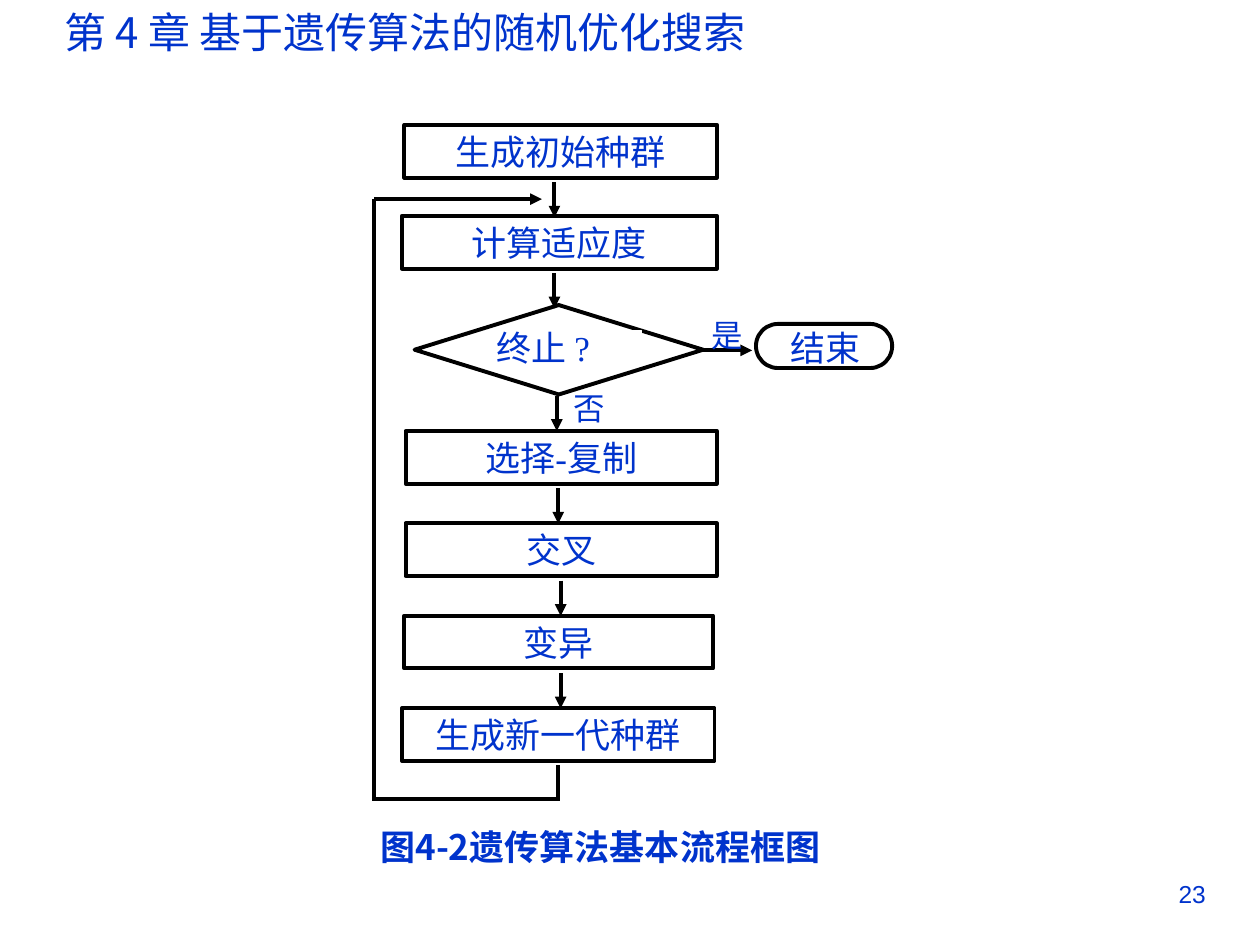
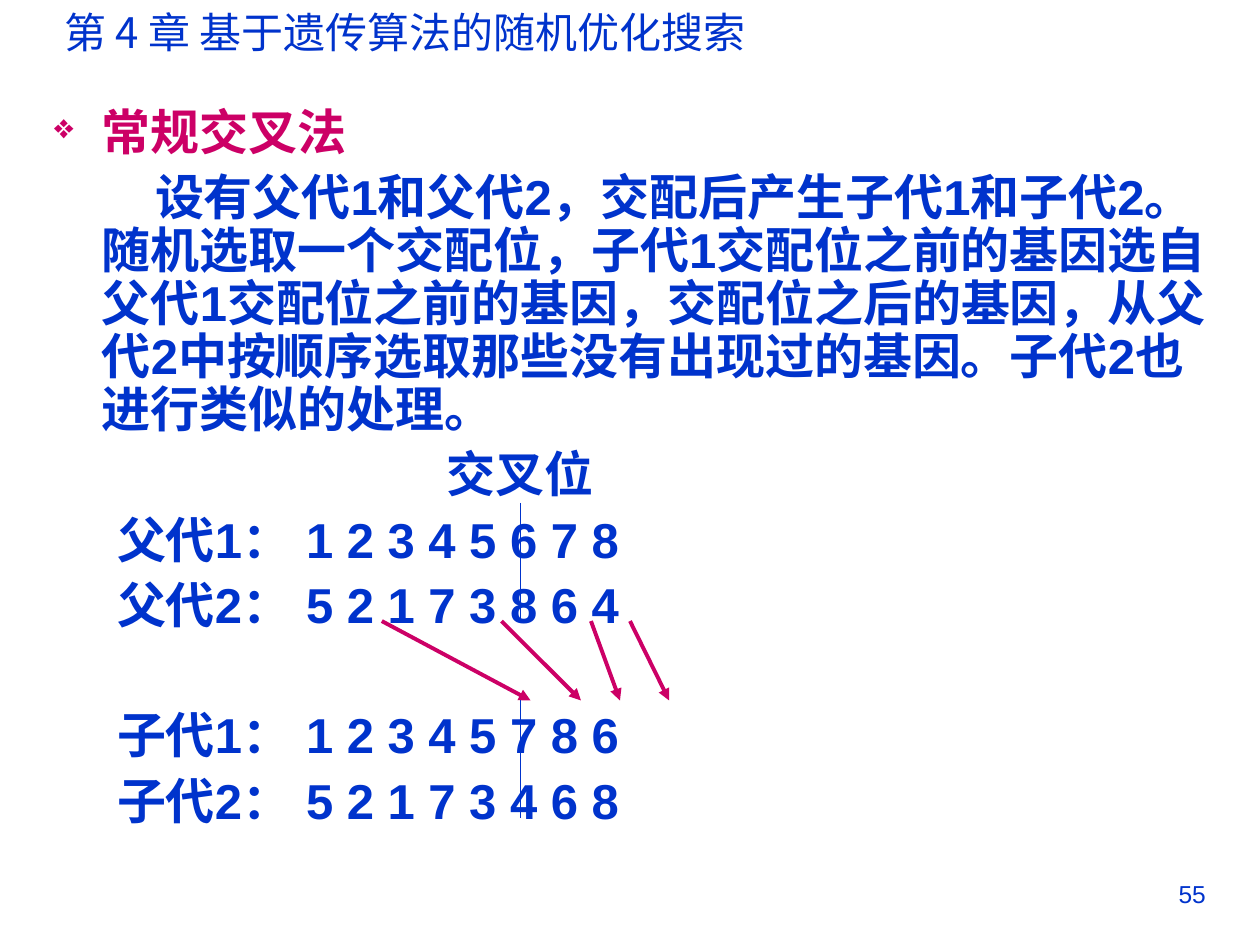
from dataclasses import dataclass

from lxml.etree import SubElement
from pptx import Presentation
from pptx.dml.color import RGBColor as RGB
from pptx.enum.shapes import MSO_CONNECTOR as Conn, MSO_SHAPE as Kind
from pptx.enum.text import MSO_ANCHOR as Anchor, MSO_AUTO_SIZE as Fit, PP_ALIGN as Align
from pptx.oxml.ns import qn
from pptx.util import Pt


@dataclass(frozen=True)
class Theme:
    ink: str = "0033CC"
    accent: str = "CC0066"
    edge: str = "000000"
    paper: str = "FFFFFF"
    hans: str = "Noto Sans CJK SC"
    sans: str = "Arial"
    serif: str = "Times New Roman"
    head: int = 24
    body: int = 28
    step: int = 20
    label: int = 18
    foot: int = 14
    thick: float = 2.25
    thin: float = 0.75
    pad: float = 7.2
    inset: float = 3.6
    pitch: float = 30.3
    gap: float = 7


T = Theme()
CHAPTER = "第 4 章 基于遗传算法的随机优化搜索"
HEAD_BOX = (29.5, 0, 422, 36)
FOOT_BOX = (516.2, 499, 180, 37.4)
FLOW_BOX = (212.4, 71.3, 298, 386)
CAPTION_BOX = (184.3, 472.3, 317.5, 23)
BODY_BOX = (23.8, 54.7, 672.5, 419.8)

# text, left, top, width, x of the line that leaves the step
LOW, RISE, STEP_H, DROP, FALL = 174.9, 52.8, 30.2, 32.8, 20.2
STEPS = [
    ("生成初始种群", 18.7, 0, 178.6, 104.4),
    ("计算适应度", 17.3, 52, 180, 104.4),
    ("选择-复制", 19.4, LOW, 177.8, 106.6),
    ("交叉", 19.4, LOW + RISE, 177.8, 108),
    ("变异", 18.7, LOW + 2 * RISE, 176.4, 108),
    ("生成新一代种群", 17.3, LOW + 3 * RISE, 178.6, 106.6),
]

RULE = ("设有父代1和父代2，交配后产生子代1和子代2。随机选取一个交配位，"
        "子代1交配位之前的基因选自父代1交配位之前的基因，交配位之后的基因，"
        "从父代2中按顺序选取那些没有出现过的基因。子代2也进行类似的处理。")
GENES = [
    ("父代1：", "1 2 3 4 5 6 7 8", T.gap),
    ("父代2：", "5 2 1 7 3 8 6 4", T.gap),
    ("子代1：", "1 2 3 4 5 7 8 6", 2 * T.gap + T.pitch),
    ("子代2：", "5 2 1 7 3 4 6 8", T.gap),
]
MOVES = [(194.4, 279.4), (262.8, 308.2), (313.9, 330.5), (336.2, 358.6)]
CUT_X, CUTS, MOVE_Y = 273.6, [(232.6, 300.2), (344.2, 412.6)], (300.2, 345.6)


def put(obj, **vals):
    for key, val in vals.items():
        setattr(obj, key, val)


def pts(*nums):
    return [Pt(num) for num in nums]


def shift(box, x, y, w, h):
    """Turn a place inside box into a place on the slide."""
    return box[0] + x, box[1] + y, w, h


def write(para, text, size, face, color=T.ink, bold=False, **form):
    run = para.add_run()
    run.text = text
    put(run.font, size=Pt(size), name=face, bold=bold)
    run.font.color.rgb = RGB.from_string(color)
    SubElement(run.font._element, qn("a:ea"), typeface=T.hans)
    put(para, **form)


def frame(shape, pad=T.pad, inset=0, anchor=Anchor.MIDDLE):
    text = shape.text_frame
    put(text, word_wrap=True, auto_size=Fit.NONE, vertical_anchor=anchor,
        margin_left=Pt(pad), margin_right=Pt(pad),
        margin_top=Pt(inset), margin_bottom=Pt(inset))
    return text


def block(slide, kind, box, edge=T.edge, width=T.thick):
    shape = slide.shapes.add_shape(kind, *pts(*box))
    shape.shadow.inherit = False
    shape.fill.solid()
    shape.fill.fore_color.rgb = RGB.from_string(T.paper)
    shape.line.color.rgb = RGB.from_string(edge)
    shape.line.width = Pt(width)
    return shape


def label(slide, box, text, size, face, bold=False, align=Align.LEFT, **form):
    shape = slide.shapes.add_textbox(*pts(*box))
    write(frame(shape, **form).paragraphs[0], text, size, face,
          bold=bold, alignment=align)


def patch(slide, box, text, align):
    """White plate that carries the words of a shape below it."""
    plate = block(slide, Kind.RECTANGLE, box, T.paper, T.thin)
    write(frame(plate, pad=0).paragraphs[0], text, T.step, T.serif, alignment=align)


def link(slide, box, x1, y1, x2, y2, color=T.edge, width=T.thick, tip=True):
    left, top = box[:2]
    line = slide.shapes.add_connector(
        Conn.STRAIGHT, *pts(left + x1, top + y1, left + x2, top + y2))
    line.line.color.rgb = RGB.from_string(color)
    line.line.width = Pt(width)
    if tip:
        SubElement(line.line._get_or_add_ln(), qn("a:tailEnd"), type="triangle")
    SubElement(line._element.spPr, qn("a:effectLst"))


def start(deck, page):
    """Add a slide with the chapter title and its page number."""
    slide = deck.slides.add_slide(deck.slide_layouts[5])
    title = slide.shapes.title
    left, top, width, height = pts(*HEAD_BOX)
    put(title, left=left, top=top, width=width, height=height)
    write(frame(title).paragraphs[0], CHAPTER, T.head, T.hans, alignment=Align.LEFT)
    label(slide, FOOT_BOX, str(page), T.foot, T.sans, align=Align.RIGHT,
          inset=T.inset, anchor=Anchor.TOP)
    return slide


def choice(slide, box):
    """Draw the stop test with its two ways out."""
    link(slide, box, 189.4, 128.9, 217.4, 128.9)
    block(slide, Kind.FLOWCHART_DECISION, shift(box, 24.5, 103, 164.9, 51.1))
    patch(slide, shift(box, 71.3, 117.4, 82.8, 20.2), "终止 ?", Align.LEFT)
    block(slide, Kind.FLOWCHART_TERMINATOR, shift(box, 219.6, 113.8, 77.8, 25.2))
    patch(slide, shift(box, 239, 117.4, 41, 20.2), "结束", Align.CENTER)
    for text, x, y in [("是", 187.2, 105.8), ("否", 108, 147.6)]:
        label(slide, shift(box, x, y, 33.8, 28.8), text, T.label, T.sans)


def flow(slide, box):
    for text, x, y, w, _ in STEPS:
        step = block(slide, Kind.RECTANGLE, shift(box, x, y, w, STEP_H))
        write(frame(step).paragraphs[0], text, T.step, T.serif, alignment=Align.CENTER)
    choice(slide, box)
    for text, _, y, _, x in STEPS:
        link(slide, box, x, y + DROP, x, y + DROP + FALL, tip=text != STEPS[-1][0])
    link(slide, box, 105.8, 154.8, 105.8, 175)
    link(slide, box, 106.6, 385.2, 0, 385.2, tip=False)
    link(slide, box, 1.4, 385.2, 1.4, 42.5, tip=False)
    link(slide, box, 1.4, 42.5, 97.2, 42.5)


def dent(para, left, first=0, mark=None, tabs=()):
    """Set indents, bullet and tab stops of a paragraph."""
    props = para._p.get_or_add_pPr()
    props.set("marL", str(Pt(left)))
    props.set("indent", str(Pt(first)))
    if mark:
        SubElement(SubElement(props, qn("a:buClr")), qn("a:srgbClr"), val=T.accent)
        SubElement(props, qn("a:buSzPct"), val="70000")
        SubElement(props, qn("a:buChar"), char=mark)
    if tabs:
        stops = SubElement(props, qn("a:tabLst"))
        for tab in tabs:
            SubElement(stops, qn("a:tab"), pos=str(Pt(tab)), algn="l")


def lesson(slide, box):
    text = frame(slide.shapes.add_textbox(*pts(*box)), inset=6.4, anchor=Anchor.TOP)
    rows = [
        ("常规交叉法", T.accent, 0, dict(left=27.4, first=-27.4, mark="❖")),
        (RULE, T.ink, T.gap, dict(left=27.4, first=30.3)),
        ("交叉位", T.ink, T.gap, dict(left=224.5)),
    ]
    rows += [(f"\t{name}\t{code}", T.ink, gap, dict(left=0, tabs=(51.3, 183.3)))
             for name, code, gap in GENES]
    for num, (words, color, gap, form) in enumerate(rows):
        para = text.add_paragraph() if num else text.paragraphs[0]
        write(para, words, T.body, T.sans, color, True, alignment=Align.LEFT,
              line_spacing=Pt(T.pitch), space_before=Pt(gap))
        dent(para, **form)
    for top, end in CUTS:
        link(slide, box, CUT_X, top, CUT_X, end, T.ink, T.thin, False)
    for old, new in MOVES:
        link(slide, box, old, MOVE_Y[0], new, MOVE_Y[1], T.accent)


def main():
    deck = Presentation()
    put(deck, slide_width=Pt(720), slide_height=Pt(540))
    chart = start(deck, 23)
    flow(chart, FLOW_BOX)
    label(chart, CAPTION_BOX, "图4-2遗传算法基本流程框图", T.step, T.hans,
          bold=True, align=Align.CENTER)
    lesson(start(deck, 55), BODY_BOX)
    deck.save("out.pptx")


if __name__ == "__main__":
    main()
